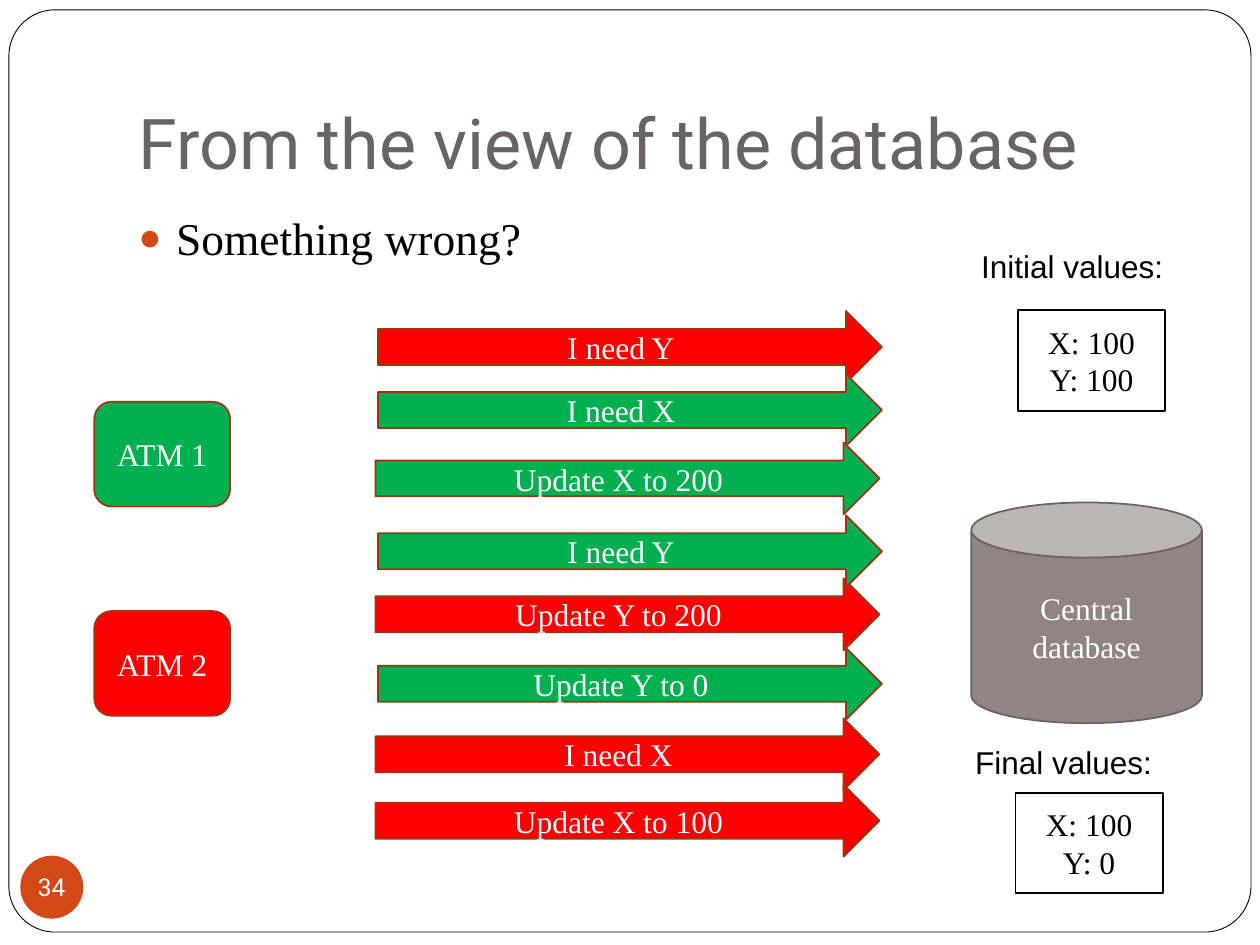
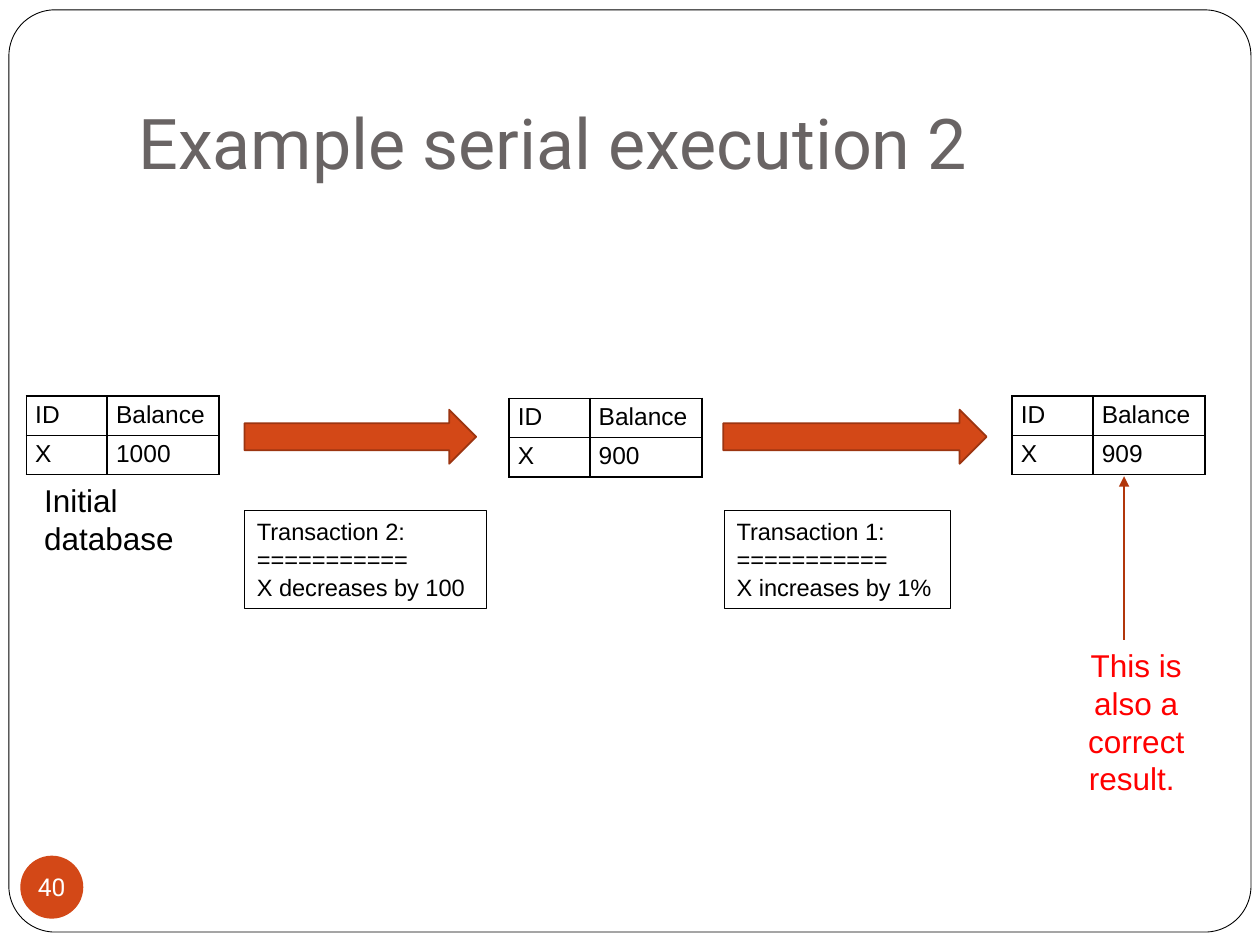
from dataclasses import dataclass
from typing import Any, NamedTuple, Optional

from lxml import etree
from pptx import Presentation
from pptx.dml.color import RGBColor
from pptx.enum.shapes import MSO_CONNECTOR, MSO_SHAPE
from pptx.enum.text import MSO_ANCHOR, MSO_AUTO_SIZE, PP_ALIGN
from pptx.oxml.ns import qn
from pptx.util import Cm, Pt

STRAIGHT = MSO_CONNECTOR.STRAIGHT
RECTANGLE, ROUNDED = MSO_SHAPE.RECTANGLE, MSO_SHAPE.ROUNDED_RECTANGLE
ARROW, CAN, OVAL = MSO_SHAPE.RIGHT_ARROW, MSO_SHAPE.CAN, MSO_SHAPE.OVAL
TOP, MIDDLE, BOTTOM = MSO_ANCHOR.TOP, MSO_ANCHOR.MIDDLE, MSO_ANCHOR.BOTTOM
LEFT, CENTER = PP_ALIGN.LEFT, PP_ALIGN.CENTER
GROW = MSO_AUTO_SIZE.SHAPE_TO_FIT_TEXT

WHITE = RGBColor(0xFF, 0xFF, 0xFF)
BLACK = RGBColor(0x00, 0x00, 0x00)
TITLE_GREY = RGBColor(0x69, 0x64, 0x64)
ORANGE = RGBColor(0xD3, 0x48, 0x17)
RUST = RGBColor(0x9C, 0x35, 0x11)
POINTER_RUST = RGBColor(0xB1, 0x36, 0x0B)
RED = RGBColor(0xFF, 0x00, 0x00)
GREEN = RGBColor(0x00, 0xB0, 0x50)
CAN_GREY = RGBColor(0x91, 0x84, 0x85)
CAN_EDGE = RGBColor(0x6B, 0x62, 0x62)

SERIF, SANS, HEADING = "Times New Roman", "Arial", "Roboto"


class Box(NamedTuple):
    left: float
    top: float
    width: float
    height: float

    def lengths(self) -> list:
        return [Cm(value) for value in self]


class TextStyle(NamedTuple):
    font: str
    size: float
    color: RGBColor
    align: Any = LEFT


@dataclass(frozen=True)
class Look:
    kind: Any
    fill: Optional[RGBColor]
    edge: Optional[RGBColor]
    edge_width: float = 1
    text: Optional[TextStyle] = None
    anchor: Any = MIDDLE


class Message(NamedTuple):
    text: str
    left: float
    top: float


class Balance(NamedTuple):
    left: float
    top: float
    amount: str


class Transaction(NamedTuple):
    title: str
    effect: str
    note: Box
    arrow: Box


TITLE = TextStyle(HEADING, 40, TITLE_GREY)
PAGE_NUMBER = TextStyle(HEADING, 14, WHITE, CENTER)
QUESTION = TextStyle(SERIF, 26, BLACK)
LIGHT = TextStyle(SERIF, 18, WHITE, CENTER)
DARK = TextStyle(SERIF, 18, BLACK, CENTER)
LABEL = TextStyle(SANS, 18, BLACK)
REMARK = TextStyle(SANS, 18, RED, CENTER)
CELL = TextStyle(SANS, 14, BLACK)
STEP = TextStyle(SANS, 13.5, BLACK)

FRAME = Look(ROUNDED, WHITE, BLACK, 0.5)
BADGE = Look(OVAL, ORANGE, None, text=PAGE_NUMBER)
DATABASE = Look(CAN, CAN_GREY, CAN_EDGE, text=LIGHT)
VALUES = Look(RECTANGLE, WHITE, BLACK, text=DARK)
TRANSACTION_NOTE = Look(RECTANGLE, None, BLACK, 0.75, STEP, TOP)
TRANSACTION_ARROW = Look(ARROW, ORANGE, RUST)

NO_MARGINS = dict.fromkeys(
    ("margin_left", "margin_right", "margin_top", "margin_bottom"), 0)
CELL_MARGINS = {"margin_left": Cm(0.18), "margin_right": Cm(0.18),
                "margin_top": Cm(0.1), "margin_bottom": Cm(0.1)}

MESSAGES = {
    RED: [Message("I need Y", 7.62, 6.27),
          Message("Update Y to 200", 7.57, 11.66),
          Message("I need X", 7.57, 14.48),
          Message("Update X to 100", 7.57, 15.82)],
    GREEN: [Message("I need X", 7.62, 7.54),
            Message("Update X to 200", 7.57, 8.92),
            Message("I need Y", 7.62, 10.39),
            Message("Update Y to 0", 7.62, 13.06)],
}
BALANCES = [Balance(0.53, 7.98, "1000"), Balance(10.26, 8.03, "900"),
            Balance(20.4, 7.98, "909")]
TRANSACTIONS = [
    Transaction("Transaction 1:", "X increases by 1%",
                Box(14.6, 10.29, 4.57, 1.98), Box(14.58, 8.26, 5.31, 1.09)),
    Transaction("Transaction 2:", "X decreases by 100",
                Box(4.93, 10.29, 4.88, 1.98), Box(4.93, 8.26, 4.67, 1.09)),
]


def apply_formats(target: Any, formats: dict) -> None:
    for name, value in formats.items():
        setattr(target, name, value)


def write(frame: Any, lines: list[str], style: TextStyle, **formats: Any) -> None:
    apply_formats(frame, formats)
    for index, line in enumerate(lines):
        paragraph = frame.add_paragraph() if index else frame.paragraphs[0]
        paragraph.alignment = style.align
        run = paragraph.add_run()
        run.text = line
        apply_formats(run.font, {"name": style.font, "size": Pt(style.size)})
        run.font.color.rgb = style.color


def add_text(slide: Any, box: Box, line: str, style: TextStyle, **formats: Any) -> Any:
    frame = slide.shapes.add_textbox(*box.lengths()).text_frame
    write(frame, [line], style, **{"word_wrap": True, **formats})
    return frame


def add_figure(slide: Any, box: Box, look: Look, *lines: str, **formats: Any) -> Any:
    figure = slide.shapes.add_shape(look.kind, *box.lengths())
    figure.shadow.inherit = False
    for part, color in ((figure.fill, look.fill), (figure.line.fill, look.edge)):
        if color is None:
            part.background()
        else:
            part.solid()
            part.fore_color.rgb = color
    if look.edge is not None:
        figure.line.width = Pt(look.edge_width)
    if look.text:
        write(figure.text_frame, list(lines), look.text,
              **{"word_wrap": True, "vertical_anchor": look.anchor, **formats})
    return figure


def add_bullet(paragraph: Any) -> None:
    properties = paragraph._p.get_or_add_pPr()
    properties.set("marL", str(Cm(0.76)))
    properties.set("indent", str(-Cm(0.76)))
    color = etree.SubElement(properties, qn("a:buClr"))
    etree.SubElement(color, qn("a:srgbClr"), val=str(ORANGE))
    etree.SubElement(properties, qn("a:buSzPct"), val="85000")
    etree.SubElement(properties, qn("a:buFont"), typeface=SANS)
    etree.SubElement(properties, qn("a:buChar"), char="●")


def add_borders(cell: Any) -> None:
    properties = cell._tc.get_or_add_tcPr()
    for side in ("a:lnL", "a:lnR", "a:lnT", "a:lnB"):
        border = etree.SubElement(properties, qn(side), w=str(Pt(1)))
        solid = etree.SubElement(border, qn("a:solidFill"))
        etree.SubElement(solid, qn("a:srgbClr"), val=str(BLACK))


def add_balance(slide: Any, balance: Balance) -> None:
    box = Box(balance.left, balance.top, 3.89, 1.56)
    table = slide.shapes.add_table(2, 2, *box.lengths()).table
    apply_formats(table, {"first_row": False, "horz_banding": False})
    for column, width in zip(table.columns, (1.63, 2.26)):
        column.width = Cm(width)
    for cell, text in zip(table.iter_cells(), ("ID", "Balance", "X", balance.amount)):
        apply_formats(cell, CELL_MARGINS)
        add_borders(cell)
        cell.fill.background()
        write(cell.text_frame, [text], CELL)


def add_pointer(slide: Any, x: float, start: float, end: float) -> None:
    pointer = slide.shapes.add_connector(STRAIGHT, Cm(x), Cm(start), Cm(x), Cm(end))
    pointer.line.color.rgb = POINTER_RUST
    pointer.line.width = Pt(0.75)
    etree.SubElement(pointer.line._get_or_add_ln(), qn("a:tailEnd"), type="triangle")
    etree.SubElement(pointer._element.spPr, qn("a:effectLst"))


def start_slide(deck: Any, title: str, number: int) -> Any:
    slide = deck.slides.add_slide(deck.slide_layouts[6])
    frame = add_figure(slide, Box(0.18, 0.2, 25.04, 18.59), FRAME)
    frame.adjustments[0] = 0.05
    add_text(slide, Box(2.54, 0.76, 21.59, 3.18), title, TITLE,
             vertical_anchor=BOTTOM, margin_bottom=Cm(0.25))
    add_figure(slide, Box(0.41, 17.25, 1.27, 1.27), BADGE, str(number),
               **{**NO_MARGINS, "word_wrap": False})
    return slide


def build_database_view(deck: Any) -> None:
    slide = start_slide(deck, "From the view of the database", 34)
    question = add_text(slide, Box(2.54, 4.11, 21.59, 12.6), "Something wrong?", QUESTION)
    add_bullet(question.paragraphs[0])
    add_figure(slide, Box(19.58, 10.13, 4.65, 4.45), DATABASE, "Central database")
    for color, messages in MESSAGES.items():
        look = Look(ARROW, color, RUST, text=LIGHT)
        for message in messages:
            add_figure(slide, Box(message.left, message.top, 10.16, 1.45),
                       look, message.text)
    for name, color, top in (("ATM 2", RED, 12.32), ("ATM 1", GREEN, 8.1)):
        add_figure(slide, Box(1.9, top, 2.74, 2.11),
                   Look(ROUNDED, color, RUST, text=LIGHT), name)
    add_figure(slide, Box(20.52, 6.25, 2.97, 2.03), VALUES, "X: 100", "Y: 100")
    add_figure(slide, Box(20.47, 15.98, 2.97, 2.03), VALUES, "X: 100", "Y: 0")
    add_text(slide, Box(19.53, 4.85, 4.65, 1.02), "Initial values:", LABEL, auto_size=GROW)
    add_text(slide, Box(19.41, 14.86, 4.65, 1.02), "Final values:", LABEL, auto_size=GROW)


def build_serial_execution(deck: Any) -> None:
    slide = start_slide(deck, "Example serial execution 2", 40)
    for balance in BALANCES:
        add_balance(slide, balance)
    add_text(slide, Box(0.64, 9.58, 3.89, 1.8), "Initial database", LABEL, auto_size=GROW)
    for transaction in TRANSACTIONS:
        add_figure(slide, transaction.note, TRANSACTION_NOTE, transaction.title,
                   "=" * 11, transaction.effect, auto_size=GROW)
        add_figure(slide, transaction.arrow, TRANSACTION_ARROW)
    add_text(slide, Box(21.23, 12.9, 3.35, 3.33), "This is also a correct result. ",
             REMARK, auto_size=GROW)
    add_pointer(slide, 22.66, 12.9, 9.6)


def main() -> None:
    deck = Presentation()
    apply_formats(deck, {"slide_width": Cm(25.4), "slide_height": Cm(19.05)})
    build_database_view(deck)
    build_serial_execution(deck)
    deck.save("out.pptx")


if __name__ == "__main__":
    main()
